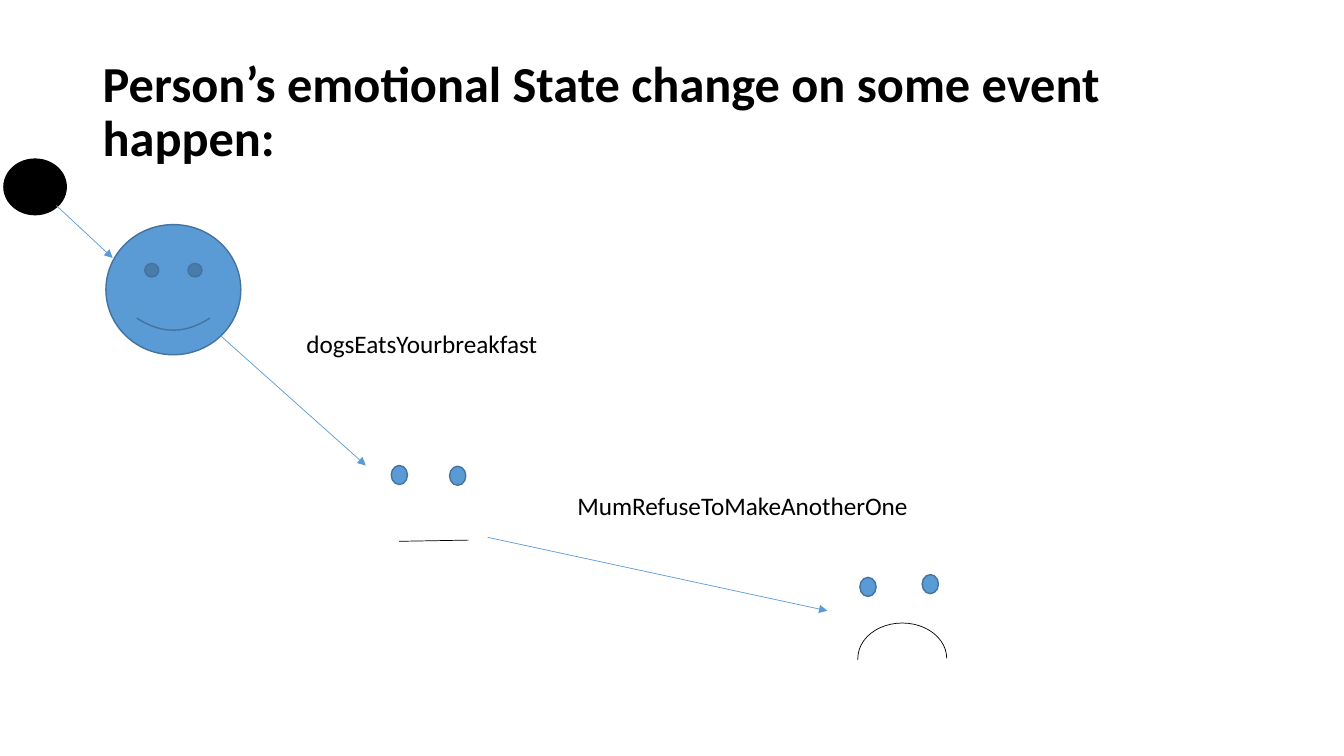
from dataclasses import dataclass

from lxml import etree
from pptx import Presentation
from pptx.dml.color import RGBColor
from pptx.enum.shapes import MSO_CONNECTOR, MSO_SHAPE
from pptx.enum.text import MSO_ANCHOR, MSO_AUTO_SIZE
from pptx.oxml.ns import qn
from pptx.util import Cm, Pt

STRAIGHT = MSO_CONNECTOR.STRAIGHT
OVAL = MSO_SHAPE.OVAL
SMILEY = MSO_SHAPE.SMILEY_FACE
ARC = MSO_SHAPE.ARC
TOP, MIDDLE = MSO_ANCHOR.TOP, MSO_ANCHOR.MIDDLE
GROW = MSO_AUTO_SIZE.SHAPE_TO_FIT_TEXT
NO_FIT = MSO_AUTO_SIZE.NONE

FONT = "Calibri"
COLORS = {"black": "000000", "blue": "5B9BD5", "outline": "43739E"}
EYE_WIDTH, EYE_HEIGHT = 0.41, 0.48


@dataclass
class Figure:
    kind: int
    left: float
    top: float
    width: float
    height: float
    fill: str | None = "blue"
    line: str = "outline"
    weight: float = 1
    adjustments: tuple[float, ...] = ()


@dataclass
class Line:
    x1: float
    y1: float
    x2: float
    y2: float
    color: str = "blue"
    arrow: bool = True


@dataclass
class Label:
    text: str
    left: float
    top: float
    width: float
    height: float
    size: int = 18
    bold: bool = False
    wrap: bool = True
    spacing: float = 1.0
    anchor: int = TOP
    fit: int = GROW


def eye(left: float, top: float) -> Figure:
    return Figure(OVAL, left, top, EYE_WIDTH, EYE_HEIGHT)


TITLE = Label("Person’s emotional State change on some event happen:",
              2.34, 1.02, 29.95, 3.68, size=36, bold=True, spacing=0.9,
              anchor=MIDDLE, fit=NO_FIT)
HAPPY_FACE = Figure(SMILEY, 2.67, 5.66, 3.4, 3.28)
SAD_MOUTH = Figure(ARC, 21.62, 15.7, 2.24, 1.78, None, "black", 0.5, (106.85, 0))
NEUTRAL_MOUTH = Line(10.06, 13.64, 11.81, 13.61, "black", False)
NEUTRAL_EYES = [eye(9.86, 11.73), eye(11.33, 11.75)]
SAD_EYES = [eye(23.24, 14.48), eye(21.67, 14.55)]
START = Figure(OVAL, 0.1, 4.01, 1.57, 1.4, "black", "black")
TRANSITIONS = [
    Line(5.56, 8.46, 9.22, 11.73),
    Line(12.29, 13.54, 20.85, 15.39),
    Line(1.42, 5.18, 2.84, 6.5),
]
EVENTS = [
    Label("dogsEatsYourbreakfast", 7.47, 8.15, 6.83, 1.02),
    Label("MumRefuseToMakeAnotherOne", 14.3, 12.22, 8.92, 1.02, wrap=False),
]


def rgb(name: str) -> RGBColor:
    return RGBColor.from_string(COLORS[name])


def draw_figure(s, figure: Figure) -> None:
    sp = s.shapes.add_shape(figure.kind, Cm(figure.left), Cm(figure.top),
                            Cm(figure.width), Cm(figure.height))
    sp.shadow.inherit = False
    for i, value in enumerate(figure.adjustments):
        sp.adjustments[i] = value
    if figure.fill is None:
        sp.fill.background()
    else:
        sp.fill.solid()
        sp.fill.fore_color.rgb = rgb(figure.fill)
    sp.line.color.rgb = rgb(figure.line)
    sp.line.width = Pt(figure.weight)


def draw_line(s, line: Line) -> None:
    connector = s.shapes.add_connector(STRAIGHT, Cm(line.x1), Cm(line.y1),
                                       Cm(line.x2), Cm(line.y2))
    connector.line.color.rgb = rgb(line.color)
    connector.line.width = Pt(0.5)
    if line.arrow:
        ln = connector.line._get_or_add_ln()
        etree.SubElement(ln, qn("a:tailEnd"), type="triangle")
    etree.SubElement(connector._element.spPr, qn("a:effectLst"))


def draw_label(s, label: Label) -> None:
    sp = s.shapes.add_textbox(Cm(label.left), Cm(label.top),
                              Cm(label.width), Cm(label.height))
    tf = sp.text_frame
    tf.word_wrap = label.wrap
    tf.auto_size = label.fit
    tf.vertical_anchor = label.anchor
    p = tf.paragraphs[0]
    p.text = label.text
    p.line_spacing = label.spacing
    p.font.name = FONT
    p.font.size = Pt(label.size)
    p.font.bold = label.bold
    p.font.color.rgb = rgb("black")


def main() -> None:
    prs = Presentation()
    prs.slide_width, prs.slide_height = Cm(33.87), Cm(19.05)
    s = prs.slides.add_slide(prs.slide_layouts[6])
    draw_label(s, TITLE)
    draw_figure(s, HAPPY_FACE)
    draw_figure(s, SAD_MOUTH)
    draw_line(s, NEUTRAL_MOUTH)
    for figure in [*NEUTRAL_EYES, *SAD_EYES, START]:
        draw_figure(s, figure)
    for transition in TRANSITIONS:
        draw_line(s, transition)
    for event in EVENTS:
        draw_label(s, event)
    prs.save("out.pptx")


if __name__ == "__main__":
    main()
